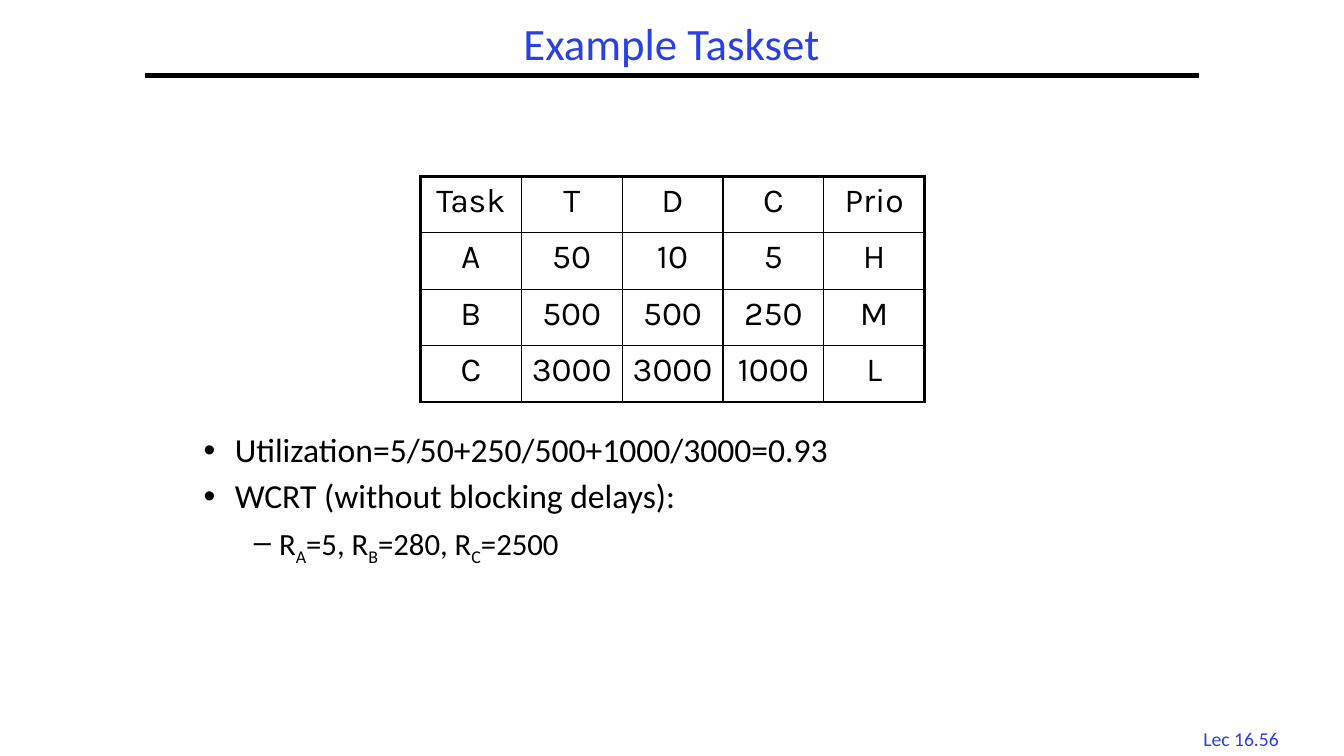
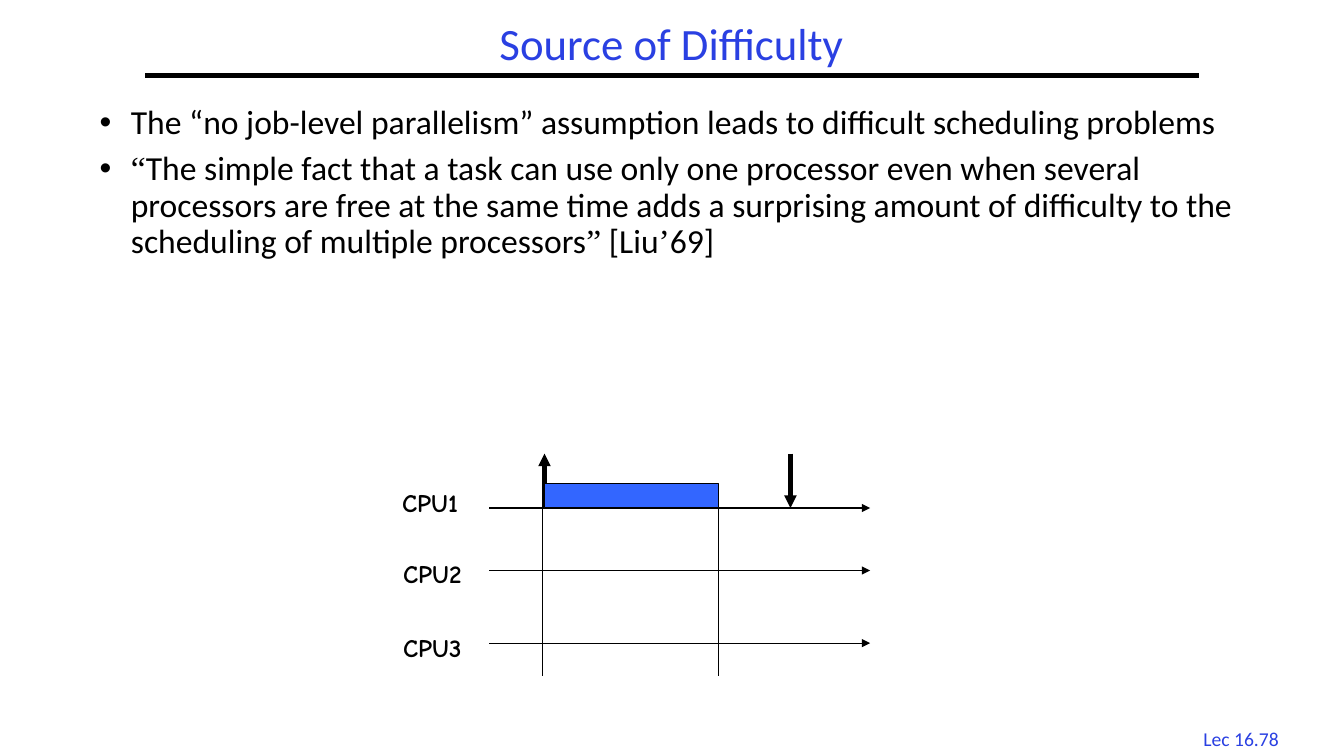
from pptx import Presentation
from pptx.dml.color import RGBColor
from pptx.enum.shapes import MSO_CONNECTOR, MSO_SHAPE
from pptx.enum.text import MSO_ANCHOR, PP_ALIGN
from pptx.oxml.ns import qn
from pptx.util import Inches, Pt
from lxml.etree import SubElement

BLACK = RGBColor(0x00, 0x00, 0x00)
TITLE_BLUE = RGBColor(0x2A, 0x40, 0xE2)
JOB_BLUE = RGBColor(0x33, 0x66, 0xFF)
BODY_FONT = "Calibri"
QUOTE_FONT = "Times New Roman"
TABLE_FONT = "Karla"
LABEL_FONT = "Comic Neue"


def add_run(p, text, size, name=BODY_FONT, color=BLACK):
    r = p.add_run()
    r.text = text
    r.font.size = Pt(size)
    r.font.name = name
    r.font.color.rgb = color
    return r


def add_line(s, x1, y1, x2, y2, width=0.75, arrow=False):
    line = s.shapes.add_connector(
        MSO_CONNECTOR.STRAIGHT, Inches(x1), Inches(y1), Inches(x2), Inches(y2))
    line.line.color.rgb = BLACK
    line.line.width = Pt(width)
    if arrow:
        SubElement(line.line._get_or_add_ln(), qn("a:tailEnd"), type="triangle")
    SubElement(line._element.spPr, qn("a:effectLst"))


# Each bullet is a level and its runs; a run is text, font and baseline shift.
SLIDES = [
    ("Example Taskset", "Lec 16.56", (1.92, 4.25, 9.58, 2.92), [
        (0, [("Utilization=5/50+250/500+1000/3000=0.93", BODY_FONT, 0)]),
        (0, [("WCRT (without blocking delays):", BODY_FONT, 0)]),
        (1, [("R", BODY_FONT, 0), ("A", BODY_FONT, -25),
             ("=5, R", BODY_FONT, 0), ("B", BODY_FONT, -25),
             ("=280, R", BODY_FONT, 0), ("C", BODY_FONT, -25),
             ("=2500", BODY_FONT, 0)]),
    ]),
    ("Source of Difficulty", "Lec 16.78", (0.89, 1, 11.56, 5.58), [
        (0, [("The “no job-level parallelism” assumption leads to difficult "
              "scheduling problems", BODY_FONT, 0)]),
        (0, [("“", QUOTE_FONT, 0),
             ("The simple fact that a task can use only one processor even when "
              "several processors are free at the same time adds a surprising "
              "amount of difficulty to the scheduling of multiple processors",
              BODY_FONT, 0),
             ("”", QUOTE_FONT, 0), (" [Liu", BODY_FONT, 0),
             ("’", QUOTE_FONT, 0), ("69]", BODY_FONT, 0)]),
    ]),
]
# Per level: bullet, left margin, hanging indent, text size
LEVELS = [("•", 0.31, -0.31, 24), ("–", 0.75, -0.25, 22)]

prs = Presentation()
prs.slide_width = Inches(13.33)
prs.slide_height = Inches(7.5)

for title, number, box, bullets in SLIDES:
    s = prs.slides.add_slide(prs.slide_layouts[5])

    tb = s.shapes.add_textbox(Inches(11.77), Inches(7.16), Inches(1.08), Inches(0.33))
    tb.text_frame.word_wrap = False
    p = tb.text_frame.paragraphs[0]
    p.alignment = PP_ALIGN.CENTER
    add_run(p, number, 14, color=TITLE_BLUE)

    add_line(s, 1.44, 0.75, 11.89, 0.75, width=3)

    sp = s.shapes.title
    sp.left, sp.top = Inches(1.44), Inches(0.17)
    sp.width, sp.height = Inches(10.44), Inches(0.58)
    sp.text_frame.vertical_anchor = MSO_ANCHOR.MIDDLE
    p = sp.text_frame.paragraphs[0]
    p.alignment = PP_ALIGN.CENTER
    p.line_spacing = 0.9
    add_run(p, title, 32, color=TITLE_BLUE)

    tf = s.shapes.add_textbox(*[Inches(v) for v in box]).text_frame
    tf.word_wrap = True
    for i, (level, runs) in enumerate(bullets):
        char, margin, indent, size = LEVELS[level]
        p = tf.add_paragraph() if i else tf.paragraphs[0]
        p.level = level
        pPr = p._p.get_or_add_pPr()
        pPr.set("marL", str(Inches(margin)))
        pPr.set("indent", str(Inches(indent)))
        SubElement(pPr, qn("a:buFont"), typeface="Arial")
        SubElement(pPr, qn("a:buChar"), char=char)
        p.line_spacing = 0.9
        if i:
            p.space_before = Pt(7)
        for text, name, shift in runs:
            r = add_run(p, text, size, name)
            if shift:
                r.font._element.set("baseline", str(shift * 1000))

taskset, difficulty = prs.slides

# Task table: thin grid inside a thick frame
ROWS = [
    ("Task", "T", "D", "C", "Prio"),
    ("A", "50", "10", "5", "H"),
    ("B", "500", "500", "250", "M"),
    ("C", "3000", "3000", "1000", "L"),
]
n_rows, n_cols = len(ROWS), len(ROWS[0])
table = taskset.shapes.add_table(
    n_rows, n_cols, Inches(4.17), Inches(1.75), Inches(5), Inches(2.24)).table
table.first_row = False
table.horz_banding = False
for i, row in enumerate(ROWS):
    for j, text in enumerate(row):
        cell = table.cell(i, j)
        p = cell.text_frame.paragraphs[0]
        p.alignment = PP_ALIGN.CENTER
        add_run(p, text, 24, TABLE_FONT)
        tcPr = cell._tc.get_or_add_tcPr()
        outer = {"lnL": j == 0, "lnR": j == n_cols - 1,
                 "lnT": i == 0, "lnB": i == n_rows - 1}
        for side, thick in outer.items():
            ln = SubElement(tcPr, qn("a:" + side), w=str(Pt(2.25 if thick else 1)))
            fill = SubElement(ln, qn("a:solidFill"))
            SubElement(fill, qn("a:srgbClr"), val=str(BLACK))
        cell.fill.background()

# Processor timelines
for label, axis_y, label_x, label_y in [
        ("CPU1", 5.04, 3.89, 4.79),
        ("CPU2", 5.66, 3.9, 5.49),
        ("CPU3", 6.38, 3.9, 6.22)]:
    add_line(difficulty, 4.85, axis_y, 8.63, axis_y, arrow=True)
    tb = difficulty.shapes.add_textbox(
        Inches(label_x), Inches(label_y), Inches(0.83), Inches(0.4))
    tb.text_frame.word_wrap = False
    add_run(tb.text_frame.paragraphs[0], label, 18, LABEL_FONT).font.bold = True

# Deadline and release arrows
add_line(difficulty, 7.84, 4.5, 7.84, 5.04, width=3, arrow=True)
add_line(difficulty, 5.4, 5.04, 5.4, 4.5, width=3, arrow=True)

job = difficulty.shapes.add_shape(
    MSO_SHAPE.RECTANGLE, Inches(5.4), Inches(4.8), Inches(1.73), Inches(0.24))
job.shadow.inherit = False
job.fill.solid()
job.fill.fore_color.rgb = JOB_BLUE
job.line.color.rgb = BLACK
job.line.width = Pt(0.75)

# Start and end of the job across all processors
for x in (5.38, 7.13):
    add_line(difficulty, x, 5.05, x, 6.71)

prs.save("out.pptx")
